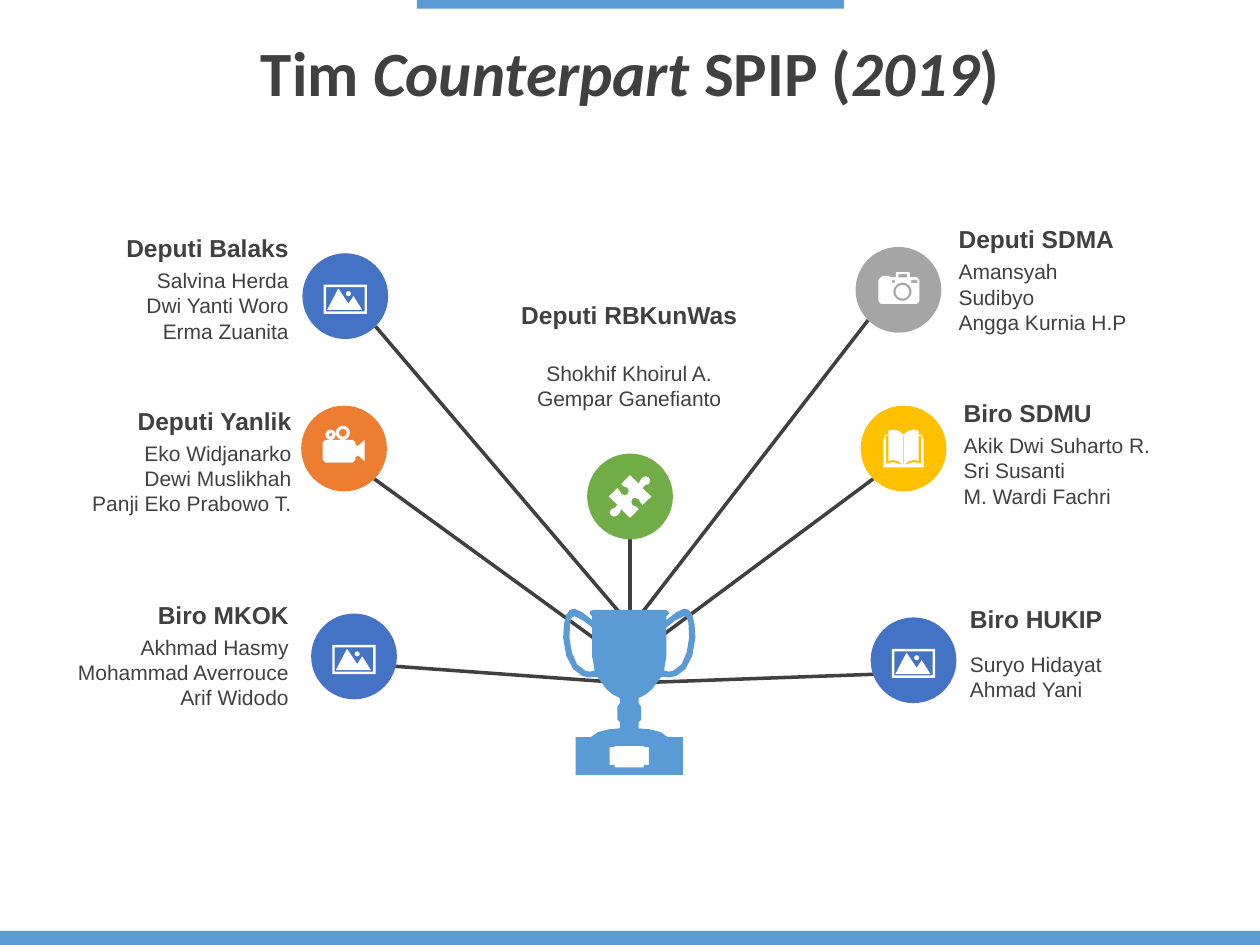
from dataclasses import dataclass
from math import cos, pi, sin

from lxml import etree
from pptx import Presentation
from pptx.dml.color import RGBColor
from pptx.enum import shapes, text
from pptx.oxml.ns import qn
from pptx.util import Pt

Point = tuple[float, float]
Contour = list[Point]

DARK, ACCENT, WHITE = "404040", "5B9BD5", "FFFFFF"
CIRCLE = 49
LEFT, CENTER, RIGHT = text.PP_ALIGN.LEFT, text.PP_ALIGN.CENTER, text.PP_ALIGN.RIGHT


@dataclass
class Unit:
    heading: str
    members: list[str]
    color: str
    icon: list[Contour]
    circle: Point
    label: Point
    line_start: Point
    line_end: Point
    align: int
    width: float = 160.6
    body_gap: float = 19.8


def rgb(color: str) -> RGBColor:
    return RGBColor.from_string(color)


def box(left: float, top: float, width: float, height: float, cut: float = 0) -> Contour:
    right, bottom = left + width, top + height
    return [(left + cut, top), (right - cut, top), (right, top + cut), (right, bottom - cut),
            (right - cut, bottom), (left + cut, bottom), (left, bottom - cut), (left, top + cut)]


def disc(x: float, y: float, radius: float) -> Contour:
    return [(x + radius * cos(step * pi / 12), y + radius * sin(step * pi / 12)) for step in range(24)]


def mirror(half: Contour) -> Contour:
    return half + [(-x, y) for x, y in reversed(half)]


def flip(contour: Contour) -> Contour:
    return [(-x, y) for x, y in contour]


PHOTO = [[(x, y + 1.8) for x, y in contour] for contour in (
    box(-12.4, -8.3, 24.8, 16.6), box(-11, -6.9, 22, 13.8), disc(1.8, -3.2, 1.4),
    [(-4, -6.1), (1.8, 2.5), (4.7, -1.8), (9.7, 6.1), (-10.4, 6.1)])]

CAMERA = [
    [(-11.5, -5.6), (-10, -7.2), (-9.4, -7.2), (-9.4, -8), (-5, -8), (-5, -7.2), (-1.4, -7.2),
     (-1.4, -9.6), (-0.9, -10.1), (6, -10.1), (6.5, -9.6), (6.5, -7.2), (10.5, -7.2), (12, -5.6),
     (12, 6.4), (10.5, 8), (-10, 8), (-11.5, 6.4)],
    box(0, -9, 5, 1.9), box(7.2, -5.5, 3.6, 1.6), box(-3.6, -5.5, 1.6, 1.6),
    disc(2.3, 1.1, 5.2), disc(2.3, 1.1, 3.9)]

VIDEO = [
    [(-12.2, -3.4), (-10.6, -5), (4.9, -5), (6.5, -3.4), (6.5, -2.2), (7.9, -1.4), (11.8, -5),
     (11.8, 7.2), (7.9, 4), (6.5, 5), (6.5, 6.4), (4.9, 8), (-10.6, 8), (-12.2, 6.4)],
    disc(-7.7, -7.9, 2.9), disc(-7.7, -7.9, 1), disc(-0.7, -9, 4), disc(-0.7, -9, 2.2)]

PAGE_EDGE = [(8.6, -7.2), (10.1, -7.2), (10.1, 8.6), (5.8, 7.8), (0.4, 9.4),
             (3, 7.3), (6, 6.5), (8.6, 7.2)]
BOOK = [
    mirror([(0, -7.9), (2.5, -10), (5.8, -10.8), (8.6, -10.1), (8.6, -7.9), (10.8, -7.9),
            (10.8, -5.8), (11.5, -5.8), (11.5, 10.8)]),
    PAGE_EDGE, flip(PAGE_EDGE), box(-0.2, -7, 0.4, 16)]

PUZZLE_HALF = [
    (10.8, -10.8), (11.6, -9), (10.8, -7.2), (8.6, -6.5), (7.2, -4.7), (12.2, 0), (7.2, 4.8),
    (6, 3.5), (5, 1.6), (3.2, 0.7), (1.4, 1.2), (0.7, 3.2), (1.4, 5), (3.6, 5.8), (5, 7.2),
    (0, 12.2), (-5, 7.2), (-6, 9.5), (-7.2, 10.8), (-9, 11.5)]
PUZZLE = [PUZZLE_HALF + [(-x, -y) for x, y in PUZZLE_HALF]]

HANDLE = [(31.3, 4.3), (26, 7), (21.2, 10.8), (21.2, 27.4), (19.8, 35.3), (22.5, 36), (25, 35.6),
          (29.9, 31.7), (32.8, 25), (34.2, 16.6), (33.8, 8), (32.8, 5)]
TROPHY = [
    mirror([(20.5, 0.7), (22.3, 1.4), (22.7, 2.9), (21.2, 4.3), (21.2, 6.5), (27, 2), (31.3, 0),
            (34, 0.7), (36, 3.5), (37.3, 9), (37.8, 16.6), (36, 27), (32, 34.6), (27, 38.4),
            (23, 39.3), (18.4, 38.9), (13, 46), (9.5, 49), (5.4, 51.1), (5.4, 54), (6.8, 56.2),
            (6.8, 63.4), (5.4, 64.8), (5.4, 68.4), (12, 69), (18, 70.6), (22, 73.4),
            (30.6, 73.4), (30.6, 95)]),
    HANDLE, flip(HANDLE),
    mirror([(8.3, 78.5), (8.3, 79.2), (11.2, 79.2), (11.2, 89.3), (8.3, 89.3), (8.3, 90.7)])]

UNITS = [
    Unit("Deputi RBKunWas", ["Shokhif Khoirul A.", "Gempar Ganefianto"], "70AD47", PUZZLE,
         (335.5, 259.2), (285.1, 167.8), (360, 308.2), (360, 369.4), CENTER, 149, 34.6),
    Unit("Deputi Balaks", ["Salvina Herda", "Dwi Yanti Woro", "Erma Zuanita"], "4472C4", PHOTO,
         (172.8, 144.7), (11.5, 129.6), (214.6, 186.5), (356.4, 352.8), RIGHT),
    Unit("Deputi Yanlik", ["Eko Widjanarko", "Dewi Muslikhah", "Panji Eko Prabowo T."], "ED7D31", VIDEO,
         (172.1, 231.8), (13, 228.2), (213.8, 273.6), (339.8, 365), RIGHT),
    Unit("Biro MKOK", ["Akhmad Hasmy", "Mohammad Averrouce", "Arif Widodo"], "4472C4", PHOTO,
         (177.8, 350.6), (11.5, 339.1), (218.2, 380.2), (356.4, 390.2), RIGHT),
    Unit("Deputi SDMA", ["Amansyah", "Sudibyo", "Angga Kurnia H.P"], "A5A5A5", CAMERA,
         (488.9, 141.1), (540.7, 124.6), (496.1, 182.9), (364.3, 353.5), LEFT),
    Unit("Biro SDMU", ["Akik Dwi Suharto R.", "Sri Susanti", "M. Wardi Fachri"], "FFC000", BOOK,
         (491.8, 231.8), (543.6, 223.9), (499, 273.6), (373, 367.2), LEFT),
    Unit("Biro HUKIP", ["Suryo Hidayat", "Ahmad Yani"], "4472C4", PHOTO,
         (497.5, 352.8), (547.2, 341.3), (522, 384.5), (363.6, 390.2), LEFT, body_gap=27.4),
]


def paint(shape, color: str) -> None:
    shape.fill.solid()
    shape.fill.fore_color.rgb = rgb(color)
    shape.line.fill.background()
    shape.shadow.inherit = False


def add_preset(slide, kind, left: float, top: float, width: float, height: float, color: str) -> None:
    paint(slide.shapes.add_shape(kind, Pt(left), Pt(top), Pt(width), Pt(height)), color)


def add_outline(slide, contours: list[Contour], x: float, y: float, color: str) -> None:
    placed = [[(Pt(x + dx), Pt(y + dy)) for dx, dy in contour] for contour in contours]
    builder = slide.shapes.build_freeform(*placed[0][0], scale=1.0)
    for index, contour in enumerate(placed):
        if index:
            builder.move_to(*contour[0])
        builder.add_line_segments(contour[1:], close=True)
    paint(builder.convert_to_shape(), color)


def add_spoke(slide, unit: Unit) -> None:
    ends = [Pt(value) for value in (*unit.line_start, *unit.line_end)]
    connector = slide.shapes.add_connector(shapes.MSO_CONNECTOR.STRAIGHT, *ends)
    connector.line.color.rgb = rgb(DARK)
    connector.line.width = Pt(2)
    etree.SubElement(connector._element.spPr, qn("a:effectLst"))


def add_run(paragraph, words: str, size: float, font: str, bold: bool, italic: bool = False) -> None:
    run = paragraph.add_run()
    run.text = words
    run.font.size, run.font.name = Pt(size), font
    run.font.bold, run.font.italic = bold, italic
    run.font.color.rgb = rgb(DARK)


def add_label(slide, unit: Unit, lines: list[str], top: float, size: float, bold: bool) -> None:
    height = 7.2 + len(lines) * size * 1.2
    shape = slide.shapes.add_textbox(Pt(unit.label[0]), Pt(top), Pt(unit.width), Pt(height))
    frame = shape.text_frame
    frame.word_wrap = True
    frame.vertical_anchor = text.MSO_ANCHOR.MIDDLE
    for index, line in enumerate(lines):
        paragraph = frame.add_paragraph() if index else frame.paragraphs[0]
        paragraph.alignment = unit.align
        add_run(paragraph, line, size, "Arial", bold)


def add_title(slide) -> None:
    title = slide.shapes.title
    title.left, title.top, title.width, title.height = Pt(0), Pt(13), Pt(720), Pt(60.5)
    frame = title.text_frame
    frame.auto_size = text.MSO_AUTO_SIZE.NONE
    frame.vertical_anchor = text.MSO_ANCHOR.MIDDLE
    paragraph = frame.paragraphs[0]
    paragraph.alignment = CENTER
    paragraph.line_spacing, paragraph.space_before = 0.9, Pt(7.5)
    for words, italic in (("Tim ", False), ("Counterpart ", True), ("SPIP (", False),
                          ("2019", True), (")", False)):
        add_run(paragraph, words, 36, "Calibri", True, italic)


presentation = Presentation()
presentation.slide_width, presentation.slide_height = Pt(720), Pt(540)
slide = presentation.slides.add_slide(presentation.slide_layouts[5])
add_title(slide)
add_preset(slide, shapes.MSO_SHAPE.RECTANGLE, 238.3, 0, 244, 5, ACCENT)
add_preset(slide, shapes.MSO_SHAPE.RECTANGLE, 0, 532, 720, 8, ACCENT)
for unit in UNITS:
    add_spoke(slide, unit)
add_outline(slide, TROPHY, 359.6, 347.8, ACCENT)
for unit in UNITS:
    left, top = unit.circle
    add_preset(slide, shapes.MSO_SHAPE.OVAL, left, top, CIRCLE, CIRCLE, unit.color)
    add_outline(slide, unit.icon, left + CIRCLE / 2, top + CIRCLE / 2, WHITE)
    add_label(slide, unit, [unit.heading], unit.label[1], 14, True)
    add_label(slide, unit, unit.members, unit.label[1] + unit.body_gap, 12, False)
presentation.save("out.pptx")
